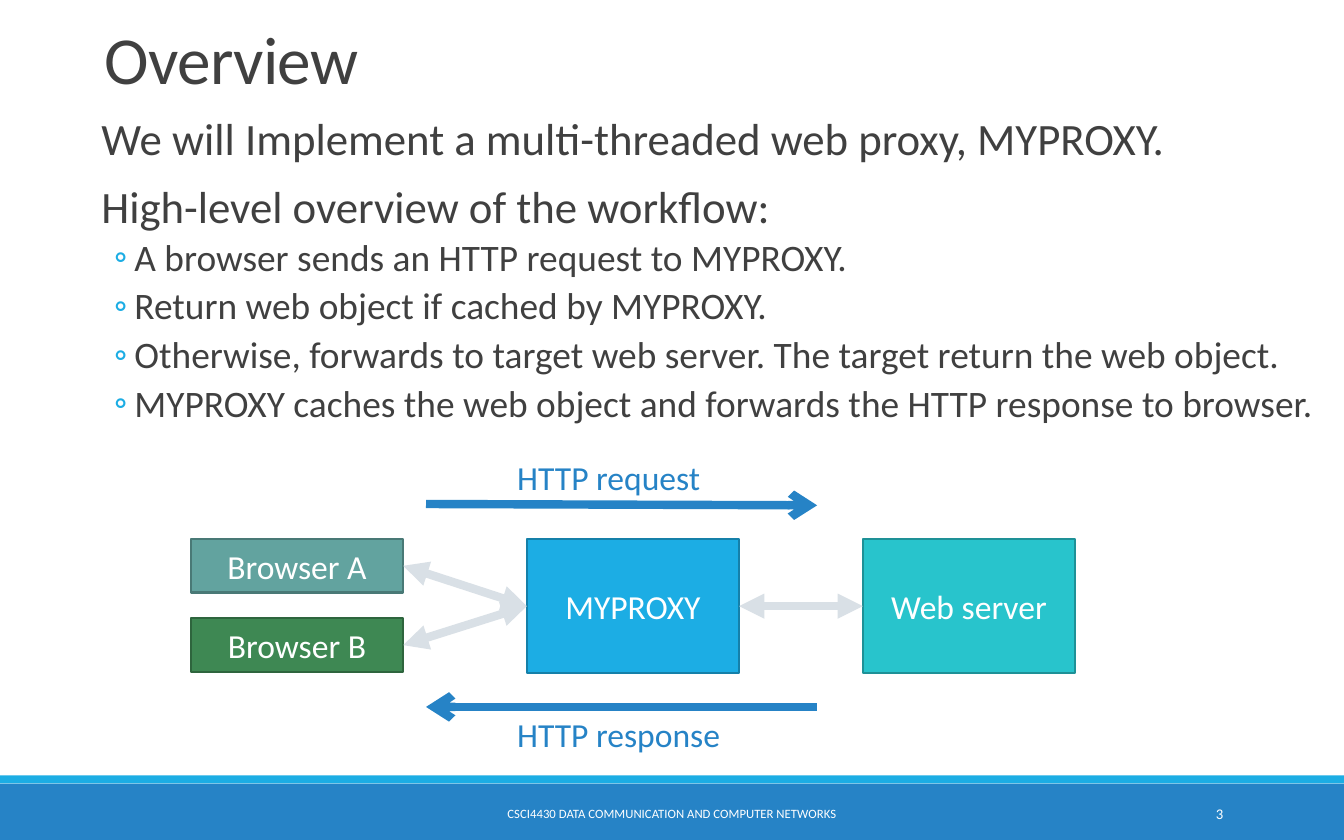
"""Build the overview slide of a web proxy and its request workflow."""
from lxml import etree
from pptx import Presentation, util as u
from pptx.dml.color import RGBColor
from pptx.enum import shapes, text
from pptx.oxml import ns

PX = 9144
COLOURS = {
    "white": "FFFFFF", "ink": "404040", "blue": "2683C6", "sky": "1CADE4",
    "sky_edge": "1580A9", "sage": "62A39F", "sage_edge": "497976",
    "green": "3E8853", "green_edge": "2E653D", "teal": "28C4CC",
    "teal_edge": "1E9197", "mist": "D9E0E6",
}
LEFT, CENTER, RIGHT = text.PP_ALIGN.LEFT, text.PP_ALIGN.CENTER, text.PP_ALIGN.RIGHT
MIDDLE = text.MSO_ANCHOR.MIDDLE


def write(para, words, size, colour, align=LEFT):
    para.alignment = align
    span = para.add_run()
    span.text = words
    span.font.name = "Calibri"
    span.font.size = u.Pt(size)
    span.font.color.rgb = RGBColor.from_string(COLOURS[colour])
    return span


def draw_arrow(start, end, colour, **ends):
    arrow = page.shapes.add_connector(
        shapes.MSO_CONNECTOR.STRAIGHT, *[v * PX for v in start + end])
    arrow.line.width = u.Pt(4.5)
    arrow.line.color.rgb = RGBColor.from_string(COLOURS[colour])
    line = arrow.line._get_or_add_ln()
    for tag, kind in ends.items():
        etree.SubElement(line, ns.qn(f"a:{tag}"), type=kind)
    etree.SubElement(arrow._element.spPr, ns.qn("a:effectLst"))
    return arrow


deck = Presentation()
deck.slide_width, deck.slide_height = 1000 * PX, 625 * PX
page = deck.slides.add_slide(deck.slide_layouts[1])

for top, height, colour in [(583, 42, "blue"), (577, 6, "sky")]:
    band = page.shapes.add_shape(
        shapes.MSO_SHAPE.RECTANGLE, 0, top * PX, 1000 * PX, height * PX)
    band.shadow.inherit = False
    band.fill.solid()
    band.fill.fore_color.rgb = RGBColor.from_string(COLOURS[colour])
    band.line.fill.background()

title = page.shapes.title
title.left, title.top, title.width, title.height = [v * PX for v in (68, 14, 825, 64)]
title.text_frame.auto_size = text.MSO_AUTO_SIZE.NONE
title.text_frame.vertical_anchor = text.MSO_ANCHOR.BOTTOM
para = title.text_frame.paragraphs[0]
para.line_spacing = 0.85
span = write(para, "Overview", 36, "ink")
span._r.get_or_add_rPr().set("spc", "-40")

body = page.placeholders[1]
body.left, body.top, body.width, body.height = [v * PX for v in (68, 82, 932, 343)]
frame = body.text_frame
frame.auto_size = text.MSO_AUTO_SIZE.NONE
frame.margin_left = frame.margin_right = 0
LEVELS = [
    {"size": 24, "before": 9, "after": 1.5, "bullet": " ", "margin": 7, "indent": -7},
    {"size": 20, "before": 1.5, "after": 3, "bullet": "◦", "margin": 32, "indent": -15},
]
points = [
    (0, "We will Implement a multi-threaded web proxy, MYPROXY."),
    (0, "High-level overview of the workflow:"),
    (1, "A browser sends an HTTP request to MYPROXY."),
    (1, "Return web object if cached by MYPROXY."),
    (1, "Otherwise, forwards to target web server. The target return the web object."),
    (1, "MYPROXY caches the web object and forwards the HTTP response to browser."),
]
for index, (level, words) in enumerate(points):
    style = LEVELS[level]
    para = frame.add_paragraph() if index else frame.paragraphs[0]
    para.level = level
    para.line_spacing = 0.9
    para.space_before, para.space_after = u.Pt(style["before"]), u.Pt(style["after"])
    write(para, words, style["size"], "ink")
    props = para._p.get_or_add_pPr()
    props.set("marL", str(style["margin"] * PX))
    props.set("indent", str(style["indent"] * PX))
    bullet_colour = etree.SubElement(props, ns.qn("a:buClr"))
    etree.SubElement(bullet_colour, ns.qn("a:srgbClr"), val=COLOURS["sky"])
    etree.SubElement(props, ns.qn("a:buFont"), typeface="Calibri")
    etree.SubElement(props, ns.qn("a:buChar"), char=style["bullet"])

nodes = {}
for name, column, top, height, colour in [
    ("Browser A", 0, 401, 40, "sage"),
    ("Browser B", 0, 460, 40, "green"),
    ("MYPROXY", 1, 401, 100, "sky"),
    ("Web server", 2, 401, 100, "teal"),
]:
    node = page.shapes.add_shape(
        shapes.MSO_SHAPE.RECTANGLE,
        (142 + 250 * column) * PX, top * PX, 158 * PX, height * PX)
    node.shadow.inherit = False
    node.fill.solid()
    node.fill.fore_color.rgb = RGBColor.from_string(COLOURS[colour])
    node.line.color.rgb = RGBColor.from_string(COLOURS[f"{colour}_edge"])
    node.line.width = u.Pt(1.25)
    node.text_frame.vertical_anchor = MIDDLE
    write(node.text_frame.paragraphs[0], name, 18, "white", CENTER)
    nodes[name] = node

for source, target in [
    ("Browser A", "MYPROXY"), ("Browser B", "MYPROXY"), ("MYPROXY", "Web server"),
]:
    link = draw_arrow((0, 0), (0, 0), "mist", headEnd="triangle", tailEnd="triangle")
    link.begin_connect(nodes[source], 3)
    link.end_connect(nodes[target], 1)

draw_arrow((317, 375), (608, 376), "blue", tailEnd="arrow")
draw_arrow((317, 526), (608, 526), "blue", headEnd="arrow")

for words, left, top, width, height, size, colour, align, wrap in [
    ("HTTP request", 375, 335, 158, 40, 18, "blue", LEFT, False),
    ("HTTP response", 375, 526, 173, 40, 18, "blue", LEFT, False),
    ("CSCI4430 DATA COMMUNICATION AND COMPUTER NETWORKS",
     302, 589, 396, 33, 6.8, "white", CENTER, True),
    ("3", 812, 589, 108, 33, 7.9, "white", RIGHT, True),
]:
    box = page.shapes.add_textbox(left * PX, top * PX, width * PX, height * PX)
    box.text_frame.word_wrap = wrap
    box.text_frame.vertical_anchor = MIDDLE
    write(box.text_frame.paragraphs[0], words, size, colour, align)

deck.save("out.pptx")
